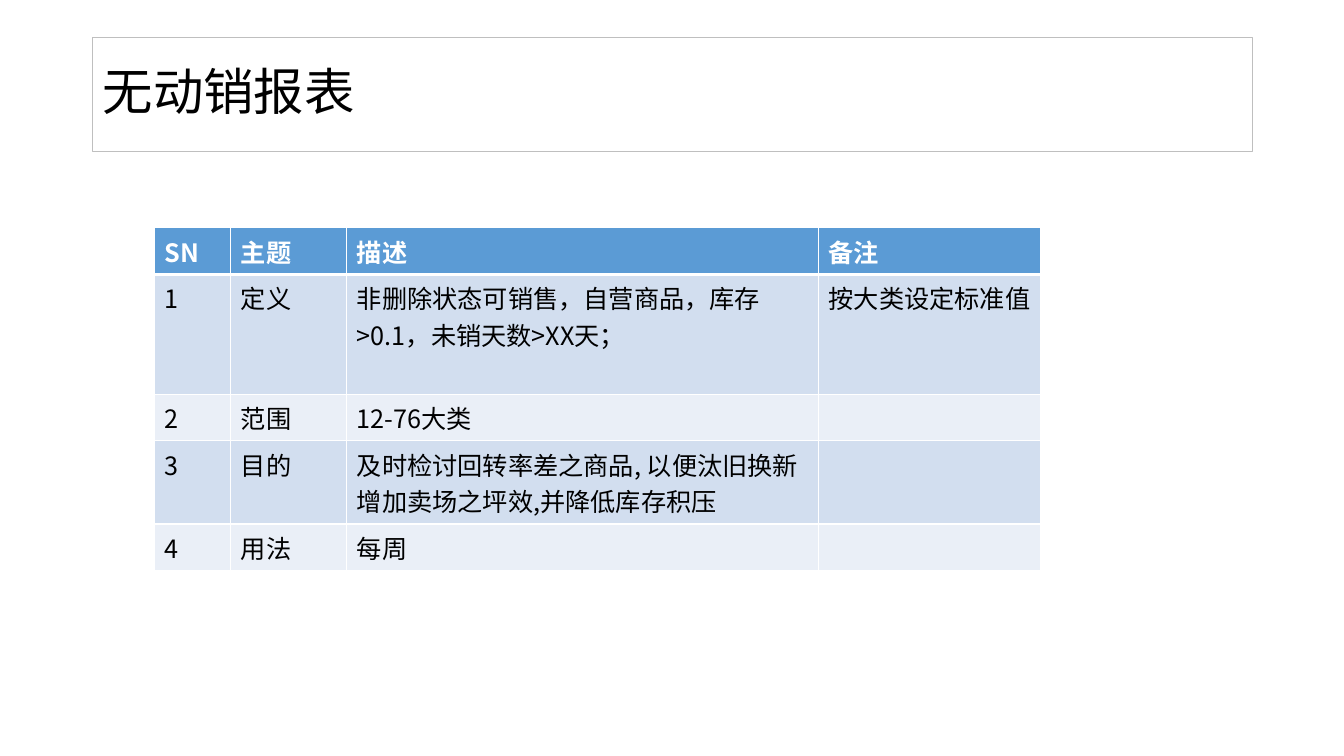
from lxml.etree import SubElement
from pptx import Presentation
from pptx.dml.color import RGBColor
from pptx.enum.shapes import MSO_SHAPE
from pptx.enum.text import MSO_ANCHOR, PP_ALIGN
from pptx.oxml.ns import qn
from pptx.util import Inches, Pt

FONT = "Noto Sans CJK SC"
COLORS = {
    "text": "000000",
    "white": "FFFFFF",
    "outline": "BFBFBF",
    "header": "5B9BD5",
    "odd_row": "D2DEEF",
    "even_row": "EAEFF7",
}


def write_text(para, text, color, **formats):
    span = para.add_run()
    span.text = text
    for name, value in {"name": FONT, **formats}.items():
        setattr(span.font, name, value)
    span.font.color.rgb = RGBColor.from_string(COLORS[color])
    SubElement(span.font._element, qn("a:ea"), typeface=FONT)


def add_border(cell, side, width):
    line = SubElement(cell._tc.get_or_add_tcPr(), qn(f"a:ln{side}"), w=str(Pt(width)))
    fill = SubElement(line, qn("a:solidFill"))
    SubElement(fill, qn("a:srgbClr"), val=COLORS["white"])


deck = Presentation()
deck.slide_width, deck.slide_height = Inches(13.33), Inches(7.5)
page = deck.slides.add_slide(deck.slide_layouts[6])

# Title
title = page.shapes.add_shape(
    MSO_SHAPE.RECTANGLE, Inches(0.92), Inches(0.37), Inches(11.5), Inches(1.13))
title.shadow.inherit = False
title.fill.background()
title.line.color.rgb = RGBColor.from_string(COLORS["outline"])
title.line.width = Pt(0.75)
title.text_frame.word_wrap = True
title.text_frame.vertical_anchor = MSO_ANCHOR.MIDDLE
para = title.text_frame.paragraphs[0]
para.alignment = PP_ALIGN.LEFT
para.line_spacing = 0.9
write_text(para, "无动销报表", "text", size=Pt(36))

# Report table
rows = [
    ("SN", "主题", "描述", "备注"),
    ("1", "定义", "非删除状态可销售，自营商品，库存>0.1，未销天数>XX天；", "按大类设定标准值"),
    ("2", "范围", "12-76大类", ""),
    ("3", "目的", "及时检讨回转率差之商品, 以便汰旧换新增加卖场之坪效,并降低库存积压", ""),
    ("4", "用法", "每周", ""),
]
column_widths = [0.76, 1.15, 4.68, 2.2]
row_heights = [0.45, 1.19, 0.46, 0.82, 0.46]
table = page.shapes.add_table(
    len(rows), len(column_widths), Inches(1.53), Inches(2.26),
    Inches(sum(column_widths)), Inches(sum(row_heights))).table
for column, width in zip(table.columns, column_widths):
    column.width = Inches(width)

for row_index, (texts, height) in enumerate(zip(rows, row_heights)):
    table.rows[row_index].height = Inches(height)
    is_header = row_index == 0
    fill_name = "header" if is_header else "odd_row" if row_index % 2 else "even_row"
    for column_index, text in enumerate(texts):
        cell = table.cell(row_index, column_index)
        for side in "LRTB":
            at_header_edge = (row_index, side) in ((0, "B"), (1, "T"))
            add_border(cell, side, 3 if at_header_edge else 1)
        cell.fill.solid()
        cell.fill.fore_color.rgb = RGBColor.from_string(COLORS[fill_name])
        if text:
            write_text(cell.text_frame.paragraphs[0], text,
                       "white" if is_header else "text", size=Pt(18), bold=is_header)

deck.save("out.pptx")
